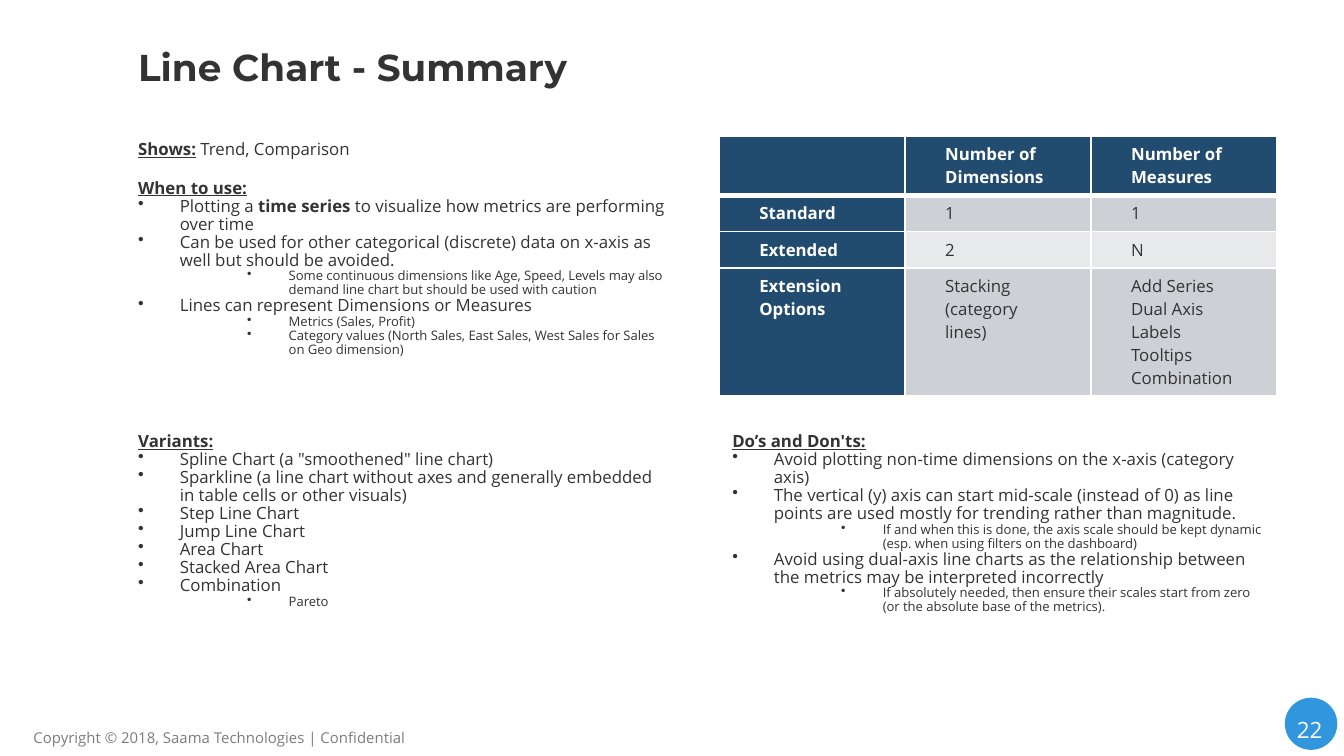
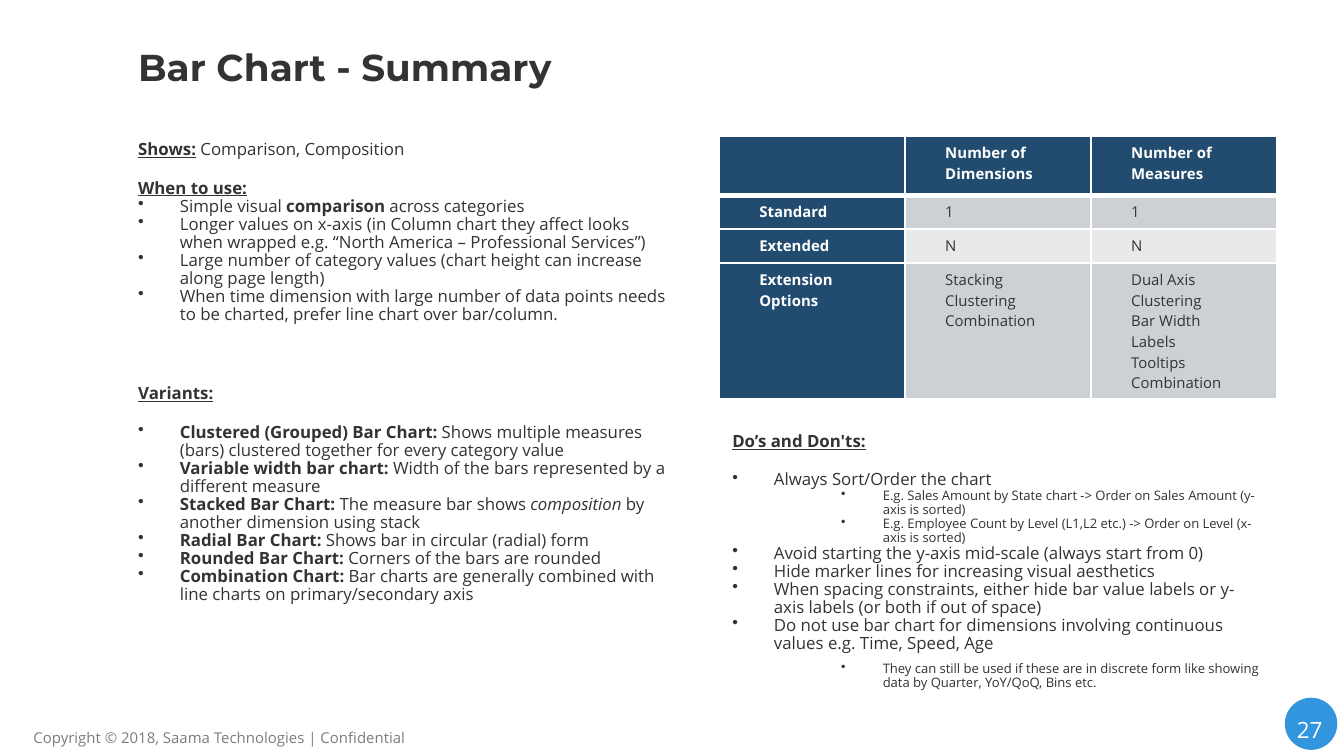
from dataclasses import dataclass

from lxml import etree
from pptx import Presentation
from pptx.dml.color import RGBColor
from pptx.enum.shapes import MSO_SHAPE
from pptx.enum.text import MSO_ANCHOR, PP_ALIGN
from pptx.oxml.ns import qn
from pptx.util import Emu, Inches, Pt

OVAL = MSO_SHAPE.OVAL
MID, TOP = MSO_ANCHOR.MIDDLE, MSO_ANCHOR.TOP
LEFT, MIDST = PP_ALIGN.LEFT, PP_ALIGN.CENTER
WIDE, HIGH = Inches(10), Inches(5.625)


@dataclass(frozen=True)
class Theme:
    ink: str = "333333"
    white: str = "FFFFFF"
    navy: str = "224C6F"
    band: str = "CDD0D5"
    pale: str = "E8E9EB"
    blue: str = "3196DE"
    gray: str = "7C7C7C"
    head: str = "Montserrat"
    body: str = "Open Sans"
    title: float = 20
    number: float = 12
    text: float = 9
    sub: float = 7
    foot: float = 8
    lead: float = 0.89  # line spacing of body text
    gap: float = 11  # one body line, in points


T = Theme()


@dataclass(frozen=True)
class Box:
    """A place in hundredths of the slide's width and height."""
    x: float
    y: float
    w: float
    h: float

    def at(self) -> tuple[Emu, Emu, Emu, Emu]:
        return (col(self.x), row(self.y), col(self.w), row(self.h))


@dataclass(frozen=True)
class Line:
    """Marks in text: #underlined head#, *bold*, _italic_."""
    text: str
    level: int = 0  # 0 plain, 1 bullet, 2 inner bullet
    before: float = 0
    after: float = 0


@dataclass(frozen=True)
class Block:
    box: Box
    lines: list[Line]


@dataclass(frozen=True)
class Grid:
    size: float
    rows: list[list[str]]


@dataclass(frozen=True)
class Page:
    title: str
    number: int
    blocks: list[Block]
    grid: Grid


def col(n: float) -> Emu:
    return Emu(round(WIDE * n / 100))


def row(n: float) -> Emu:
    return Emu(round(HIGH * n / 100))


# Places shared by the slides
TITLE = Box(9.3, 2.5, 85.7, 12.6)
USE = Box(9.3, 17.8, 41.5, 35)
LOW = Box(9.3, 56.4, 41.5, 35)
TALL = Box(9.3, 50.1, 41.5, 41.3)
DOS = Box(53.5, 56.4, 41.5, 35)
TABLE = Box(53.5, 18, 41.5, 34)
DISC = Box(95.6, 92.3, 3.9, 6.9)
NUMBER = Box(94.9, 90, 5.1, 11.2)
FOOT = Box(1.5, 95.5, 39.2, 3.7)
INDENT = {1: (3.1, -3.1), 2: (11.2, -3.1)}


# Text helpers
def style(font, size: float, color: str, name: str = T.body) -> None:
    font.name, font.size = name, Pt(size)
    font.color.rgb = RGBColor.from_string(color)


def frame(slide, box: Box, anchor=TOP):
    tf = slide.shapes.add_textbox(*box.at()).text_frame
    tf.word_wrap, tf.vertical_anchor = True, anchor
    return tf


def label(slide, box: Box, text: str, size: float, color: str,
          name: str = T.body, anchor=TOP, align=LEFT):
    para = frame(slide, box, anchor).paragraphs[0]
    para.text, para.alignment = text, align
    style(para.font, size, color, name)
    return para


def bullet(para, level: int) -> None:
    left, hang = INDENT[level]
    prop = para._p.get_or_add_pPr()
    prop.set("marL", str(col(left)))
    prop.set("indent", str(col(hang)))
    etree.SubElement(prop, qn("a:buChar")).set("char", "•")
    para.level = level - 1


def fill_runs(para, text: str) -> None:
    for i, part in enumerate(text.split("#")):
        for j, piece in enumerate(part.split("*")):
            for k, bit in enumerate(piece.split("_")):
                if bit:
                    run = para.add_run()
                    run.text = bit
                    if i % 2:
                        run.font.underline = True
                    if i % 2 or j % 2:
                        run.font.bold = True
                    if k % 2:
                        run.font.italic = True


def write(slide, block: Block) -> None:
    tf = frame(slide, block.box)
    for n, line in enumerate(block.lines):
        para = tf.add_paragraph() if n else tf.paragraphs[0]
        if line.level:
            bullet(para, line.level)
        para.line_spacing = T.lead
        para.space_before, para.space_after = Pt(line.before), Pt(line.after)
        style(para.font, T.sub if line.level == 2 else T.text, T.ink)
        fill_runs(para, line.text)


# Table
def edges(cell, top: float, base: float) -> None:
    prop = cell._tc.get_or_add_tcPr()
    for side, width in (("L", 1), ("R", 1), ("T", top), ("B", base)):
        edge = etree.SubElement(prop, qn(f"a:ln{side}"), w=str(Pt(width)))
        paint = etree.SubElement(edge, qn("a:solidFill"))
        etree.SubElement(paint, qn("a:srgbClr"), val=T.white)


def table(slide, grid: Grid) -> None:
    deep, wide = len(grid.rows), len(grid.rows[0])
    tab = slide.shapes.add_table(deep, wide, *TABLE.at()).table
    for part in tab.columns:
        part.width = col(TABLE.w / wide)
    for r, texts in enumerate(grid.rows):
        count = max(text.count("\n") + 1 for text in texts)
        tall = 1.8 + count * grid.size * 0.336  # margins plus lines
        tab.rows[r].height = row(tall if r else 7.8)
        for c, text in enumerate(texts):
            cell, head = tab.cell(r, c), r == 0 or c == 0
            edges(cell, 3 if r == 1 else 1, 1 if r else 3)
            cell.fill.solid()
            tone = T.navy if head else T.band if r % 2 else T.pale
            cell.fill.fore_color.rgb = RGBColor.from_string(tone)
            cell.margin_left = cell.margin_right = col(3)
            cell.margin_top = cell.margin_bottom = row(0.89)
            cell.text = text
            for para in cell.text_frame.paragraphs:
                style(para.font, grid.size, T.white if head else T.ink)
                para.font.bold = head


# Slide
def draw(deck, page: Page) -> None:
    slide = deck.slides.add_slide(deck.slide_layouts[6])
    disc = slide.shapes.add_shape(OVAL, *DISC.at())
    disc.shadow.inherit = False
    disc.fill.solid()
    disc.fill.fore_color.rgb = RGBColor.from_string(T.blue)
    disc.line.fill.background()
    mark = label(slide, NUMBER, str(page.number), T.number, T.white,
                 anchor=MID, align=MIDST)
    mark.line_spacing = 1.5
    label(slide, FOOT, "Copyright © 2018, Saama Technologies | Confidential",
          T.foot, T.gray)
    title = label(slide, TITLE, page.title, T.title, T.ink, T.head, MID)
    title.font.bold = True
    for block in page.blocks:
        write(slide, block)
    table(slide, page.grid)


# Content
HEADS = ["", "Number of Dimensions", "Number of Measures"]

PAGES = [
    Page("Line Chart - Summary", 22, [
        Block(USE, [
            Line("#Shows:# Trend, Comparison"),
            Line("#When to use:#", before=T.gap),
            Line("Plotting a *time series *to visualize how metrics are performing over time", 1),
            Line("Can be used for other categorical (discrete) data on x-axis as well but should be avoided.", 1),
            Line("Some continuous dimensions like Age, Speed, Levels may also demand line chart "
                 "but should be used with caution", 2),
            Line("Lines can represent Dimensions or Measures", 1),
            Line("Metrics (Sales, Profit)", 2),
            Line("Category values (North Sales, East Sales, West Sales for Sales on Geo dimension)", 2),
        ]),
        Block(LOW, [
            Line("#Variants:#"),
            Line('Spline Chart (a "smoothened" line chart)', 1),
            Line("Sparkline (a line chart without axes and generally embedded in table cells or other visuals)", 1),
            Line("Step Line Chart", 1),
            Line("Jump Line Chart", 1),
            Line("Area Chart", 1),
            Line("Stacked Area Chart", 1),
            Line("Combination", 1),
            Line("Pareto", 2),
        ]),
        Block(DOS, [
            Line("#Do’s and Don'ts:#"),
            Line("Avoid plotting non-time dimensions on the x-axis (category axis)", 1),
            Line("The vertical (y) axis can start mid-scale (instead of 0) as line points are used "
                 "mostly for trending rather than magnitude.", 1),
            Line("If and when this is done, the axis scale should be kept dynamic "
                 "(esp. when using filters on the dashboard)", 2),
            Line("Avoid using dual-axis line charts as the relationship between the metrics "
                 "may be interpreted incorrectly", 1),
            Line("If absolutely needed, then ensure their scales start from zero "
                 "(or the absolute base of the metrics).", 2),
        ]),
    ], Grid(9, [
        HEADS,
        ["Standard", "1", "1"],
        ["Extended", "2", "N"],
        ["Extension Options", "Stacking (category lines)",
         "Add Series\nDual Axis\nLabels\nTooltips\nCombination"],
    ])),
    Page("Bar Chart - Summary", 27, [
        Block(USE, [
            Line("#Shows:# Comparison, Composition"),
            Line("#When to use:#", before=T.gap),
            Line("Simple visual *comparison *across categories", 1),
            Line("Longer values on x-axis (in Column chart they affect looks when wrapped "
                 "e.g. “North America – Professional Services”)", 1),
            Line("Large number of category values (chart height can increase along page length)", 1),
            Line("When time dimension with large number of data points needs to be charted, "
                 "prefer line chart over bar/column.", 1),
        ]),
        Block(TALL, [
            Line("#Variants:#"),
            Line("*Clustered (Grouped) Bar Chart:* Shows multiple measures (bars) clustered together "
                 "for every category value", 1, T.gap),
            Line("*Variable width bar chart:* Width of the bars represented by a different measure", 1),
            Line("*Stacked Bar Chart:* The measure bar shows _composition _by another dimension using stack", 1),
            Line("*Radial Bar Chart: *Shows bar in circular (radial) form", 1),
            Line("*Rounded Bar Chart: *Corners of the bars are rounded", 1),
            Line("*Combination Chart: *Bar charts are generally combined with line charts "
                 "on primary/secondary axis", 1),
        ]),
        Block(DOS, [
            Line("#Do’s and Don'ts:#"),
            Line("Always Sort/Order the chart", 1, T.gap),
            Line("E.g. Sales Amount by State chart -> Order on Sales Amount (y-axis is sorted)", 2),
            Line("E.g. Employee Count by Level (L1,L2 etc.) -> Order on Level (x-axis is sorted)", 2),
            Line("Avoid starting the y-axis mid-scale (always start from 0)", 1),
            Line("Hide marker lines for increasing visual aesthetics", 1),
            Line("When spacing constraints, either hide bar value labels or y-axis labels "
                 "(or both if out of space)", 1),
            Line("Do not use bar chart for dimensions involving continuous values e.g. Time, Speed, Age", 1),
            Line("They can still be used if these are in discrete form like showing data by Quarter, "
                 "YoY/QoQ, Bins etc.", 2, 5, 5),
        ]),
    ], Grid(8, [
        HEADS,
        ["Standard", "1", "1"],
        ["Extended", "N", "N"],
        ["Extension Options", "Stacking\nClustering\nCombination",
         "Dual Axis\nClustering\nBar Width\nLabels\nTooltips\nCombination"],
    ])),
]


def main() -> None:
    deck = Presentation()
    deck.slide_width, deck.slide_height = WIDE, HIGH
    for page in PAGES:
        draw(deck, page)
    deck.save("out.pptx")


if __name__ == "__main__":
    main()
